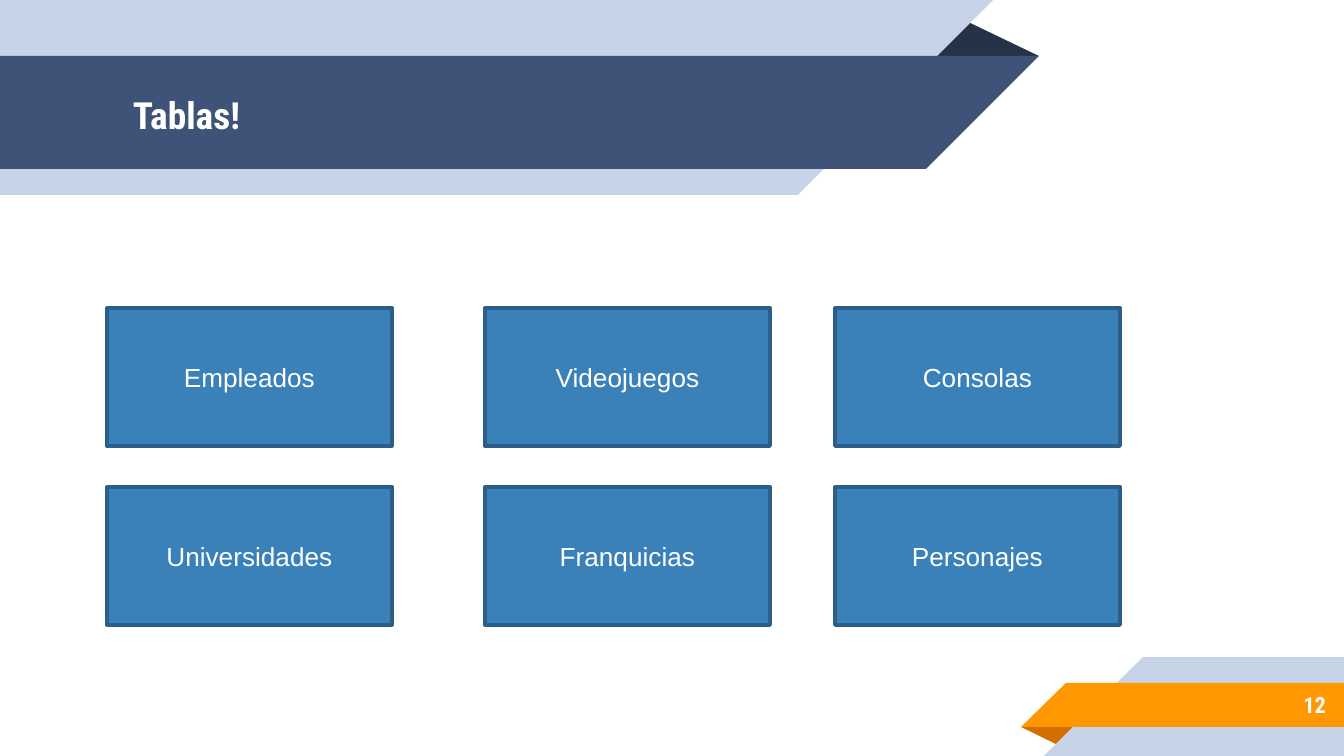
from pptx import Presentation
from pptx.dml.color import RGBColor
from pptx.enum.shapes import MSO_SHAPE
from pptx.enum.text import MSO_ANCHOR, PP_ALIGN
from pptx.util import Emu, Pt

PX = 9144000 / 1344  # EMU in one px
WIDTH, HEIGHT = 1344, 756

LIGHT, NAVY, NAVY_FOLD = "C7D3E6", "3F5378", "263248"
ORANGE, ORANGE_FOLD = "FF9800", "D26F00"
CARD_FILL, CARD_LINE, WHITE = "3A81BA", "2B5F8A", "FFFFFF"

# Ribbons from back to front: colour and corner points
RIBBONS = [
    (NAVY_FOLD, [(925, 56), (962, 19), (1039, 56)]),
    (LIGHT, [(0, 0), (993, 0), (798, 195), (0, 195)]),
    (NAVY, [(0, 56), (1039, 56), (926, 169), (0, 169)]),
    (ORANGE_FOLD, [(1021, 727), (1079, 727), (1060, 746)]),
    (LIGHT, [(1143, 657), (WIDTH, 657), (WIDTH, HEIGHT), (1044, HEIGHT)]),
    (ORANGE, [(1066, 683), (WIDTH, 683), (WIDTH, 727), (1021, 727)]),
]

CARD_SIZE = (285, 138)
CARD_LEFTS = [107, 485, 835]
CARD_ROWS = [
    (308, ["Empleados", "Videojuegos", "Consolas"]),
    (487, ["Universidades", "Franquicias", "Personajes"]),
]


def px(n):
    return Emu(round(n * PX))


def color(value):
    return RGBColor.from_string(value)


def write(s, text, size=14, font="Arial", bold=False, align=PP_ALIGN.LEFT, inset=13):
    tf = s.text_frame
    tf.word_wrap = True
    tf.vertical_anchor = MSO_ANCHOR.MIDDLE
    tf.margin_left = tf.margin_right = px(inset)
    tf.margin_top = tf.margin_bottom = px(inset)
    p = tf.paragraphs[0]
    p.alignment = align
    r = p.add_run()
    r.text = text
    r.font.size = Pt(size)
    r.font.name = font
    r.font.bold = bold
    r.font.color.rgb = color(WHITE)


def add_ribbon(slide, fill, points):
    builder = slide.shapes.build_freeform(*points[0], scale=PX)
    builder.add_line_segments(points[1:], close=True)
    s = builder.convert_to_shape()
    s.shadow.inherit = False
    s.fill.solid()
    s.fill.fore_color.rgb = color(fill)
    s.line.fill.background()


def add_label(slide, box, text, **fmt):
    s = slide.shapes.add_textbox(*map(px, box))
    write(s, text, font="Roboto Condensed", bold=True, **fmt)


def add_card(slide, box, text):
    s = slide.shapes.add_shape(MSO_SHAPE.RECTANGLE, *map(px, box))
    s.shadow.inherit = False
    s.fill.solid()
    s.fill.fore_color.rgb = color(CARD_FILL)
    s.line.color.rgb = color(CARD_LINE)
    s.line.width = Pt(2)
    write(s, text, align=PP_ALIGN.CENTER)


def main():
    prs = Presentation()
    prs.slide_width, prs.slide_height = px(WIDTH), px(HEIGHT)
    slide = prs.slides.add_slide(prs.slide_layouts[6])

    # Header and footer ribbons
    for fill, points in RIBBONS:
        add_ribbon(slide, fill, points)

    # Title and page number
    add_label(slide, (120, 58, 808, 113), "Tablas!", size=20)
    add_label(slide, (1120, 681, 219, 47), "12", size=12, align=PP_ALIGN.RIGHT)

    # Grid of table names
    for top, names in CARD_ROWS:
        for left, name in zip(CARD_LEFTS, names):
            add_card(slide, (left, top, *CARD_SIZE), name)

    prs.save("out.pptx")


if __name__ == "__main__":
    main()
